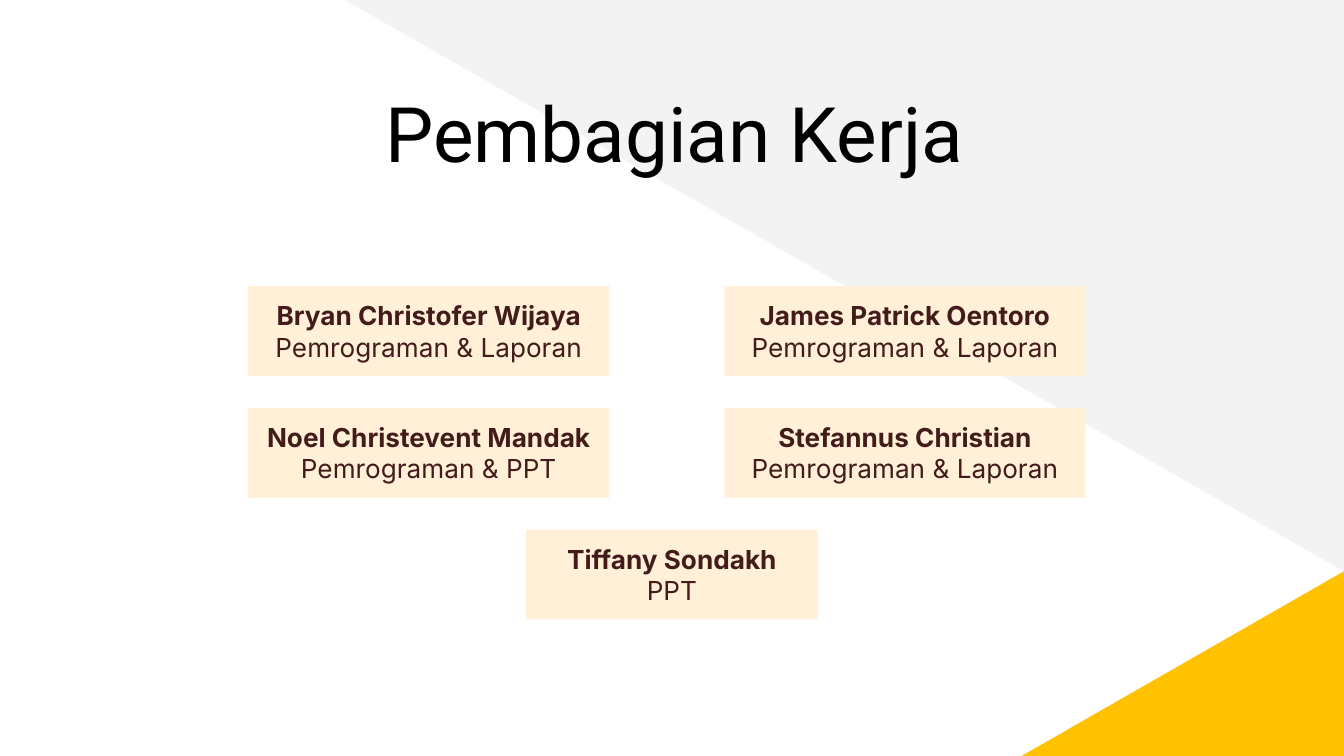
from pptx import Presentation
from pptx.dml.color import RGBColor
from pptx.enum.shapes import MSO_SHAPE
from pptx.enum.text import MSO_ANCHOR, PP_ALIGN
from pptx.util import Cm, Pt

RECT, TRIANGLE = MSO_SHAPE.RECTANGLE, MSO_SHAPE.RIGHT_TRIANGLE
TOP, MIDDLE = MSO_ANCHOR.TOP, MSO_ANCHOR.MIDDLE
CENTER = PP_ALIGN.CENTER

SLIDE_W, SLIDE_H = 25.4, 14.29
GREY, YELLOW, CREAM = "F3F3F3", "FFC100", "FFF0D7"
BROWN, BLACK = "421B1A", "000000"

# Card grid, in cm
COLUMNS = (4.69, 13.69)
FIRST_ROW, ROW_STEP = 5.41, 2.3
CARD_W, CARD_H, LAST_CARD_W = 6.83, 1.7, 5.51

MEMBERS = [
    ("Bryan Christofer Wijaya", "Pemrograman & Laporan"),
    ("James Patrick Oentoro", "Pemrograman & Laporan"),
    ("Noel Christevent Mandak", "Pemrograman & PPT"),
    ("Stefannus Christian", "Pemrograman & Laporan"),
]
LAST_MEMBER = ("Tiffany Sondakh", "PPT")


def rgb(color):
    return RGBColor.from_string(color)


def add_block(s, kind, x, y, w, h, color):
    sp = s.shapes.add_shape(kind, Cm(x), Cm(y), Cm(w), Cm(h))
    sp.shadow.inherit = False
    sp.fill.solid()
    sp.fill.fore_color.rgb = rgb(color)
    sp.line.fill.background()
    return sp


def set_frame(tf, anchor):
    tf.word_wrap = True
    tf.vertical_anchor = anchor
    tf.margin_left = tf.margin_right = Cm(0.25)
    tf.margin_top = tf.margin_bottom = Cm(0.25)


def format_paragraph(p, font, size, color, bold=False):
    p.alignment = CENTER
    for r in p.runs:
        r.font.name = font
        r.font.size = Pt(size)
        r.font.bold = bold
        r.font.color.rgb = rgb(color)


def add_background(s):
    grey = add_block(s, TRIANGLE, 6.48, -0.02, SLIDE_W - 6.48, 10.82, GREY)
    grey.rotation = 180
    yellow = add_block(s, TRIANGLE, 19.31, 10.8,
                       SLIDE_W - 19.31, SLIDE_H - 10.8, YELLOW)
    yellow._element.spPr.xfrm.set("flipH", "1")


def add_title(s, text):
    title = s.shapes.title
    title.left, title.top = Cm(1.5), Cm(1.37)
    title.width, title.height = Cm(22.5), Cm(1.6)
    tf = title.text_frame
    tf.text = text
    set_frame(tf, TOP)
    p = tf.paragraphs[0]
    p.line_spacing = 1.0
    format_paragraph(p, "Roboto", 41, BLACK)


def add_card(s, x, row, w, member):
    y = FIRST_ROW + row * ROW_STEP
    tf = add_block(s, RECT, x, y, w, CARD_H, CREAM).text_frame
    tf.text = "\n".join(member)
    set_frame(tf, MIDDLE)
    name, task = tf.paragraphs
    format_paragraph(name, "Inter", 14, BROWN, bold=True)
    format_paragraph(task, "Inter", 14, BROWN)


def main():
    prs = Presentation()
    prs.slide_width, prs.slide_height = Cm(SLIDE_W), Cm(SLIDE_H)
    s = prs.slides.add_slide(prs.slide_layouts[5])

    add_background(s)
    add_title(s, "Pembagian Kerja")

    # Two columns of members, then one centred card
    for i, member in enumerate(MEMBERS):
        row, col = divmod(i, len(COLUMNS))
        add_card(s, COLUMNS[col], row, CARD_W, member)
    add_card(s, (SLIDE_W - LAST_CARD_W) / 2, 2, LAST_CARD_W, LAST_MEMBER)

    # Keep the title in front of the background
    tree = s.shapes._spTree
    tree.remove(title := s.shapes.title._element)
    tree.append(title)

    prs.save("out.pptx")


if __name__ == "__main__":
    main()
